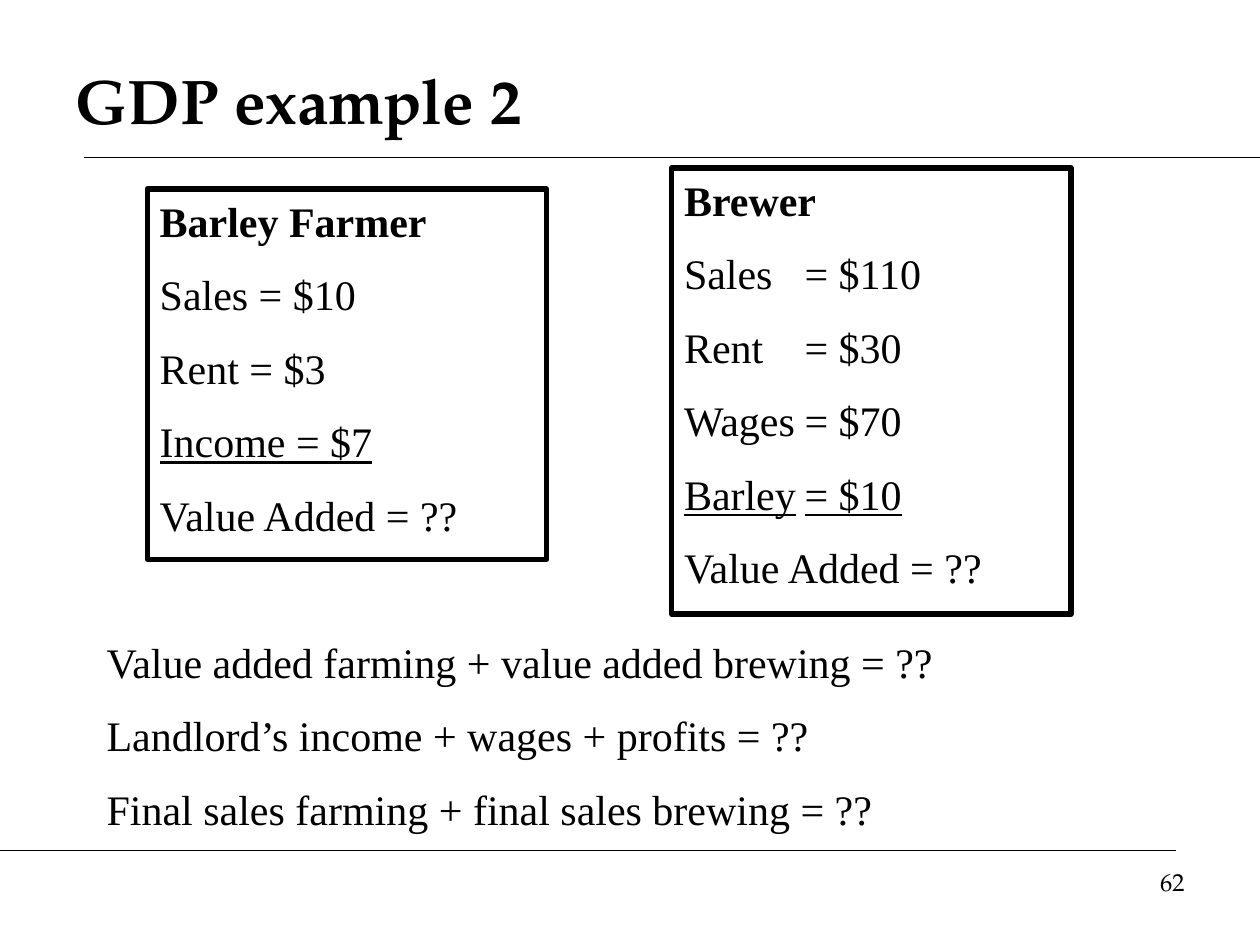
from lxml.etree import SubElement
from pptx import Presentation
from pptx.dml.color import RGBColor
from pptx.enum.shapes import MSO_CONNECTOR, MSO_SHAPE
from pptx.enum.text import MSO_ANCHOR, PP_ALIGN
from pptx.oxml.ns import qn
from pptx.util import Cm, Pt


def color(hex_string):
    return RGBColor.from_string(hex_string)


class Deck:
    ink = "000000"
    heading_font = "TeX Gyre Pagella"
    body_font = "Times New Roman"
    body_size = 24
    gap = 13.2
    equals_column = 2.43

    def __init__(self, width, height):
        self.presentation = Presentation()
        self.presentation.slide_width = Cm(width)
        self.presentation.slide_height = Cm(height)
        self.slide = self.presentation.slides.add_slide(self.presentation.slide_layouts[6])

    def rule(self, left, right, y):
        line = self.slide.shapes.add_connector(
            MSO_CONNECTOR.STRAIGHT, Cm(left), Cm(y), Cm(right), Cm(y))
        line.line.color.rgb = color(self.ink)
        line.line.width = Pt(0.75)
        SubElement(line._element.spPr, qn("a:effectLst"))

    def fill_lines(self, frame, lines, font=body_font, size=body_size, bold=(),
                   underlined=(), align=PP_ALIGN.LEFT, anchor=MSO_ANCHOR.TOP):
        frame.word_wrap = True
        frame.vertical_anchor = anchor
        for index, line in enumerate(lines):
            paragraph = frame.paragraphs[0] if index == 0 else frame.add_paragraph()
            paragraph.text = line
            if "\t" in line:
                stops = SubElement(paragraph._p.get_or_add_pPr(), qn("a:tabLst"))
                SubElement(stops, qn("a:tab"), pos=str(Cm(self.equals_column)), algn="l")
            paragraph.alignment = align
            if index:
                paragraph.space_before = Pt(self.gap)
            paragraph.font.name = font
            paragraph.font.size = Pt(size)
            paragraph.font.color.rgb = color(self.ink)
            paragraph.font.bold = line in bold
            paragraph.font.underline = line in underlined

    def text(self, left, top, width, height, lines, **style):
        box = self.slide.shapes.add_textbox(Cm(left), Cm(top), Cm(width), Cm(height))
        self.fill_lines(box.text_frame, lines, **style)

    def account(self, left, top, height, producer, entries, total):
        box = self.slide.shapes.add_shape(
            MSO_SHAPE.RECTANGLE, Cm(left), Cm(top), Cm(8.05), Cm(height))
        box.shadow.inherit = False
        box.fill.background()
        box.line.color.rgb = color(self.ink)
        box.line.width = Pt(3)
        self.fill_lines(box.text_frame, [producer, *entries, total],
                        bold=[producer], underlined=entries[-1:])

    def save(self):
        self.presentation.save("out.pptx")


def main():
    deck = Deck(25.4, 19.05)
    deck.rule(1.7, 25.4, 3.17)
    deck.rule(0, 23.7, 17.15)
    deck.text(1.27, 0.84, 22.86, 2.34, ["GDP example 2"], font=deck.heading_font,
              size=36, bold=["GDP example 2"], anchor=MSO_ANCHOR.MIDDLE)

    value_added = "Value Added = ??"
    deck.account(2.97, 3.81, 7.47, "Barley Farmer",
                 ["Sales = $10", "Rent = $3", "Income = $7"], value_added)
    deck.account(13.54, 3.39, 8.99, "Brewer",
                 ["Sales\t= $110", "Rent\t= $30", "Wages\t= $70", "Barley\t= $10"],
                 value_added)

    deck.text(1.9, 12.7, 20.96, 4.37, [
        "Value added farming + value added brewing = ??",
        "Landlord’s income + wages + profits = ??",
        "Final sales farming + final sales brewing = ??",
    ])
    deck.text(18.21, 17.35, 5.92, 1.32, ["62"], font=deck.heading_font,
              size=14, align=PP_ALIGN.RIGHT)
    deck.save()


if __name__ == "__main__":
    main()
